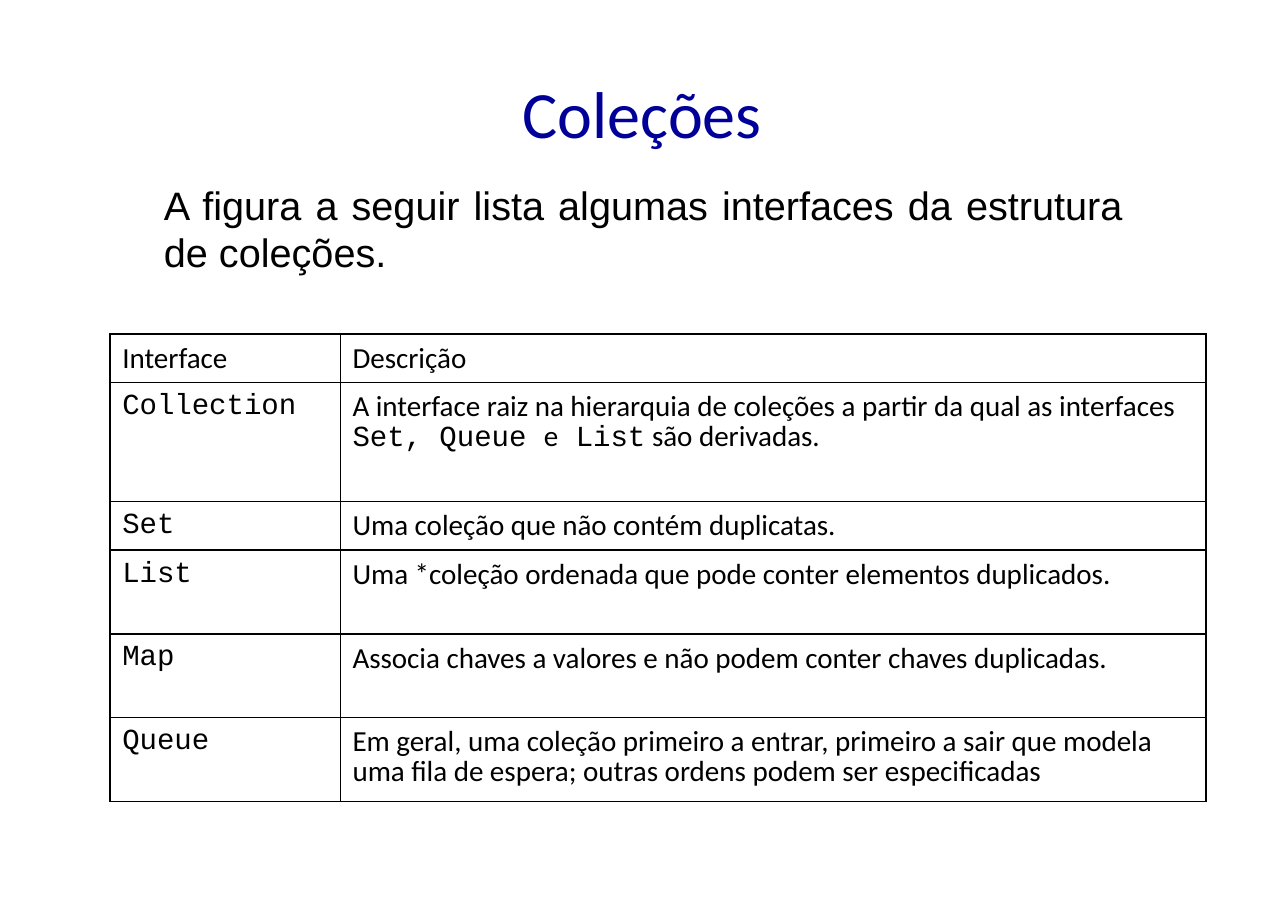
from lxml import etree
from pptx import Presentation
from pptx import util as u
from pptx.dml.color import RGBColor
from pptx.enum import text as t
from pptx.oxml import ns

SANS, CODE = "Calibri", "Courier New"
BLACK, NAVY = "000000", "000099"
THIN, THICK = 0.45, 1.08
HEAD = ["Interface", "Descrição"]
ROWS = [
    ("Collection", [
        ("A interface raiz na hierarquia de coleções a partir da qual as interfaces ", SANS),
        ("Set, Queue ", CODE), ("e", SANS), (" List", CODE), (" são derivadas.", SANS)]),
    ("Set", [("Uma coleção que não contém duplicatas.", SANS)]),
    ("List", [("Uma *coleção ordenada que pode conter elementos duplicados.", SANS)]),
    ("Map", [("Associa chaves a valores e não podem conter chaves duplicadas.", SANS)]),
    ("Queue", [("Em geral, uma coleção primeiro a entrar, primeiro a sair que modela "
                "uma fila de espera; outras ordens podem ser especificadas", SANS)]),
]
WIDTHS = [5.31, 19.96]
HEIGHTS = [1.12, 2.74, 1.12, 1.93, 1.93, 1.93]


def style(font, name, size, color):
    font.name, font.size = name, u.Pt(size)
    font.color.rgb = RGBColor.from_string(color)


def pad(item, top=0.15):
    """Set the inner margins of a cell or text frame."""
    item.margin_left = item.margin_right = u.Cm(0.28)
    item.margin_top, item.margin_bottom = u.Cm(top), u.Cm(0.15)


def place(holder, box, words, anchor, align):
    """Move a placeholder into the box and return its only paragraph."""
    holder.left, holder.top, holder.width, holder.height = map(u.Cm, box)
    frame = holder.text_frame
    frame.text = words
    frame.auto_size, frame.word_wrap = t.MSO_AUTO_SIZE.NONE, True
    frame.vertical_anchor = anchor
    pad(frame)
    para = frame.paragraphs[0]
    para.alignment = align
    return para


def add_title(slide, box):
    para = place(slide.shapes.title, box, "Coleções",
                 t.MSO_ANCHOR.MIDDLE, t.PP_ALIGN.CENTER)
    style(para.font, SANS, 43.2, NAVY)


def add_intro(slide, box):
    para = place(slide.placeholders[1], box,
                 "A figura a seguir lista algumas interfaces da estrutura de coleções.",
                 t.MSO_ANCHOR.TOP, t.PP_ALIGN.JUSTIFY)
    para.space_before = u.Pt(16.2)
    style(para.font, "Arial", 25.9, BLACK)
    props = para._p.get_or_add_pPr()
    props.set("marL", "0")
    props.set("indent", "0")
    props.find(ns.qn("a:spcBef")).addnext(etree.Element(ns.qn("a:buNone")))


def add_edges(cell, left, right):
    props = cell._tc.get_or_add_tcPr()
    edges = {"lnL": left, "lnR": right, "lnT": THICK, "lnB": THICK}
    for spot, (tag, width) in enumerate(edges.items()):
        line = etree.Element(ns.qn("a:" + tag), w=str(u.Pt(width)))
        fill = etree.SubElement(line, ns.qn("a:solidFill"))
        etree.SubElement(fill, ns.qn("a:srgbClr"), val=BLACK)
        props.insert(spot, line)


def fill_cell(cell, runs):
    """Write (words, font name) runs; cells that open in code sit higher."""
    code = runs[0][1] == CODE
    pad(cell, 0.18 if code else 0.25)
    cell.fill.background()
    para = cell.text_frame.paragraphs[0]
    para.line_spacing = 0.94 if code else 0.83
    para.space_before = u.Pt(4.5)
    style(para.font, runs[0][1], 19, BLACK)
    for words, name in runs:
        run = para.add_run()
        run.text = words
        if len(runs) > 1:
            run.font.name = name


def add_grid(slide, left, top):
    rows = [[[(word, SANS)] for word in HEAD]]
    rows += [[[(name, CODE)], runs] for name, runs in ROWS]
    grid = slide.shapes.add_table(
        len(rows), len(WIDTHS), u.Cm(left), u.Cm(top),
        u.Cm(sum(WIDTHS)), u.Cm(sum(HEIGHTS))).table
    grid.first_row = grid.horz_banding = False
    for col, width in zip(grid.columns, WIDTHS):
        col.width = u.Cm(width)
    for row, height, cells in zip(grid.rows, HEIGHTS, rows):
        row.height = u.Cm(height)
        for cell, runs in zip(row.cells, cells):
            fill_cell(cell, runs)
        add_edges(row.cells[0], THICK, THIN)
        add_edges(row.cells[1], THIN, THICK)


def main():
    deck = Presentation()
    deck.slide_width, deck.slide_height = u.Cm(29.7), u.Cm(21)
    slide = deck.slides.add_slide(deck.slide_layouts[1])
    add_title(slide, (2.26, 1.42, 25.1, 2.34))
    add_intro(slide, (3.5, 4.01, 22.68, 2.49))
    add_grid(slide, 2.54, 7.7)
    deck.save("out.pptx")


if __name__ == "__main__":
    main()
